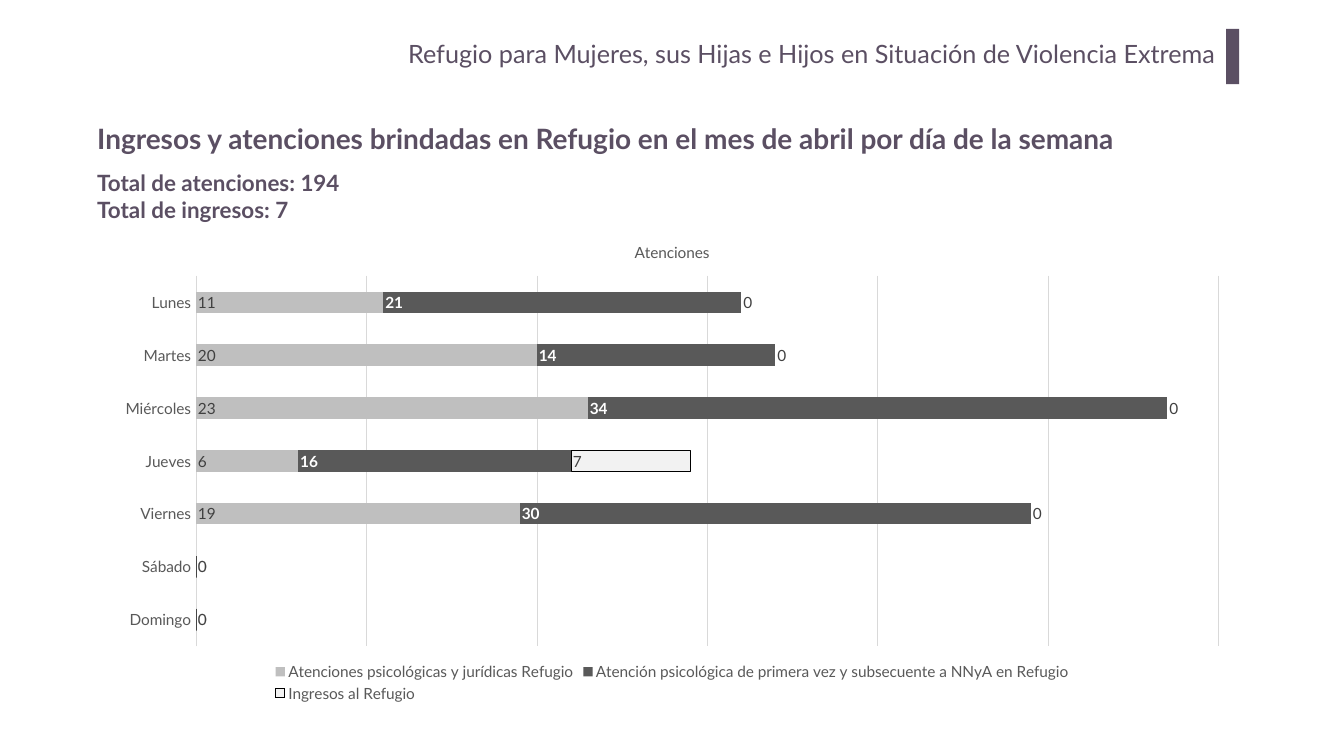
"""Weekly admissions and care at the shelter, as a stacked bar chart."""
from dataclasses import dataclass, field

from pptx import Presentation
from pptx.chart.data import CategoryChartData
from pptx.dml.color import RGBColor
from pptx.enum.chart import XL_CHART_TYPE as ChartType
from pptx.enum.chart import XL_LABEL_POSITION as LabelPosition
from pptx.enum.chart import XL_LEGEND_POSITION as LegendPosition
from pptx.enum.chart import XL_TICK_LABEL_POSITION as TickLabels
from pptx.enum.chart import XL_TICK_MARK as TickMark
from pptx.enum.shapes import MSO_SHAPE as Preset
from pptx.enum.text import MSO_ANCHOR as Anchor
from pptx.enum.text import PP_ALIGN as Align
from pptx.util import Cm, Pt

PLUM, GREY, DARK, GRID = "5B4F63", "595959", "404040", "D9D9D9"
DAYS = ["Domingo", "Sábado", "Viernes", "Jueves", "Miércoles", "Martes", "Lunes"]


@dataclass(frozen=True)
class Heading:
    box: tuple[float, float, float, float]
    lines: list[str]
    size: int
    bold: bool = True
    frame: dict = field(default_factory=dict)
    paragraph: dict = field(default_factory=dict)


@dataclass(frozen=True)
class Service:
    name: str
    counts: list[int]
    fill: str
    label: str
    bold: bool = False
    outline: str | None = None


HEADINGS = [
    Heading((4.65, 5.26, 55.5, 3.68),
            ["Ingresos y atenciones brindadas en Refugio en el mes de abril por día de la semana"],
            40, frame={"vertical_anchor": Anchor.MIDDLE},
            paragraph={"alignment": Align.JUSTIFY, "line_spacing": 0.9}),
    Heading((10.19, 1.7, 51.56, 2.59),
            ["Refugio para Mujeres, sus Hijas e Hijos en Situación de Violencia Extrema"],
            36, bold=False,
            frame={"margin_left": Cm(0.51), "margin_right": Cm(0.51),
                   "margin_top": Cm(0.25), "margin_bottom": Cm(0.25)},
            paragraph={"alignment": Align.RIGHT}),
    Heading((4.65, 8.41, 14.33, 3), ["Total de atenciones: 194", "Total de ingresos: 7"], 32),
]

SERVICES = [
    Service("Atenciones psicológicas y jurídicas Refugio", [0, 0, 19, 6, 23, 20, 11], "BFBFBF", DARK),
    Service("Atención psicológica de primera vez y subsecuente a NNyA en Refugio",
            [0, 0, 30, 16, 34, 14, 21], GREY, "FFFFFF", bold=True),
    Service("Ingresos al Refugio", [0, 0, 0, 7, 0, 0, 0], "F2F2F2", DARK, outline="000000"),
]


def rgb(code: str) -> RGBColor:
    return RGBColor.from_string(code)


def apply(target, values: dict) -> None:
    for name, value in values.items():
        setattr(target, name, value)


def style_font(font, size: int, color: str, bold: bool = False) -> None:
    apply(font, {"name": "Lato", "size": Pt(size), "bold": bold})
    font.color.rgb = rgb(color)


def style_line(line, color: str) -> None:
    line.color.rgb = rgb(color)
    line.width = Pt(0.75)


def add_heading(slide, heading: Heading) -> None:
    frame = slide.shapes.add_textbox(*map(Cm, heading.box)).text_frame
    apply(frame, {"word_wrap": True, **heading.frame})
    frame.text = "\n".join(heading.lines)
    for paragraph in frame.paragraphs:
        apply(paragraph, heading.paragraph)
        style_font(paragraph.runs[0].font, heading.size, PLUM, heading.bold)


def add_accent(slide) -> None:
    accent = slide.shapes.add_shape(Preset.RECTANGLE, Cm(61.8), Cm(1.45), Cm(0.66), Cm(2.79))
    accent.shadow.inherit = False
    accent.fill.solid()
    accent.fill.fore_color.rgb = rgb(PLUM)
    accent.line.fill.background()


def style_service(series, service: Service) -> None:
    series.format.fill.solid()
    series.format.fill.fore_color.rgb = rgb(service.fill)
    series.invert_if_negative = False
    if service.outline:
        style_line(series.format.line, service.outline)
    labels = series.data_labels
    apply(labels, {"show_value": True, "position": LabelPosition.INSIDE_BASE})
    style_font(labels.font, 22, service.label, service.bold)


def add_week_chart(slide) -> None:
    week = CategoryChartData()
    week.categories = DAYS
    for service in SERVICES:
        week.add_series(service.name, service.counts)
    chart = slide.shapes.add_chart(
        ChartType.BAR_STACKED, Cm(5.18), Cm(11.4), Cm(57.38), Cm(24.16), week).chart
    style_font(chart.font, 22, "000000")

    title = chart.chart_title.text_frame
    title.text = "Atenciones"
    style_font(title.paragraphs[0].runs[0].font, 22, GREY)

    plot = chart.plots[0]
    apply(plot, {"gap_width": 150, "overlap": 100, "vary_by_categories": False})
    for series, service in zip(plot.series, SERVICES):
        style_service(series, service)

    days = chart.category_axis
    apply(days, {"major_tick_mark": TickMark.NONE, "minor_tick_mark": TickMark.NONE,
                 "tick_label_position": TickLabels.LOW, "has_major_gridlines": False})
    style_font(days.tick_labels.font, 22, GREY)
    style_line(days.format.line, GRID)

    counts = chart.value_axis
    apply(counts, {"visible": False, "minimum_scale": 0, "maximum_scale": 60,
                   "major_unit": 10, "has_major_gridlines": True})
    style_line(counts.major_gridlines.format.line, GRID)

    chart.has_legend = True
    apply(chart.legend, {"position": LegendPosition.BOTTOM, "include_in_layout": False})
    style_font(chart.legend.font, 22, GREY)


def main() -> None:
    deck = Presentation()
    apply(deck, {"slide_width": Cm(67.74), "slide_height": Cm(38.1)})
    slide = deck.slides.add_slide(deck.slide_layouts[6])
    add_accent(slide)
    for heading in HEADINGS:
        add_heading(slide, heading)
    add_week_chart(slide)
    deck.save("out.pptx")


if __name__ == "__main__":
    main()
